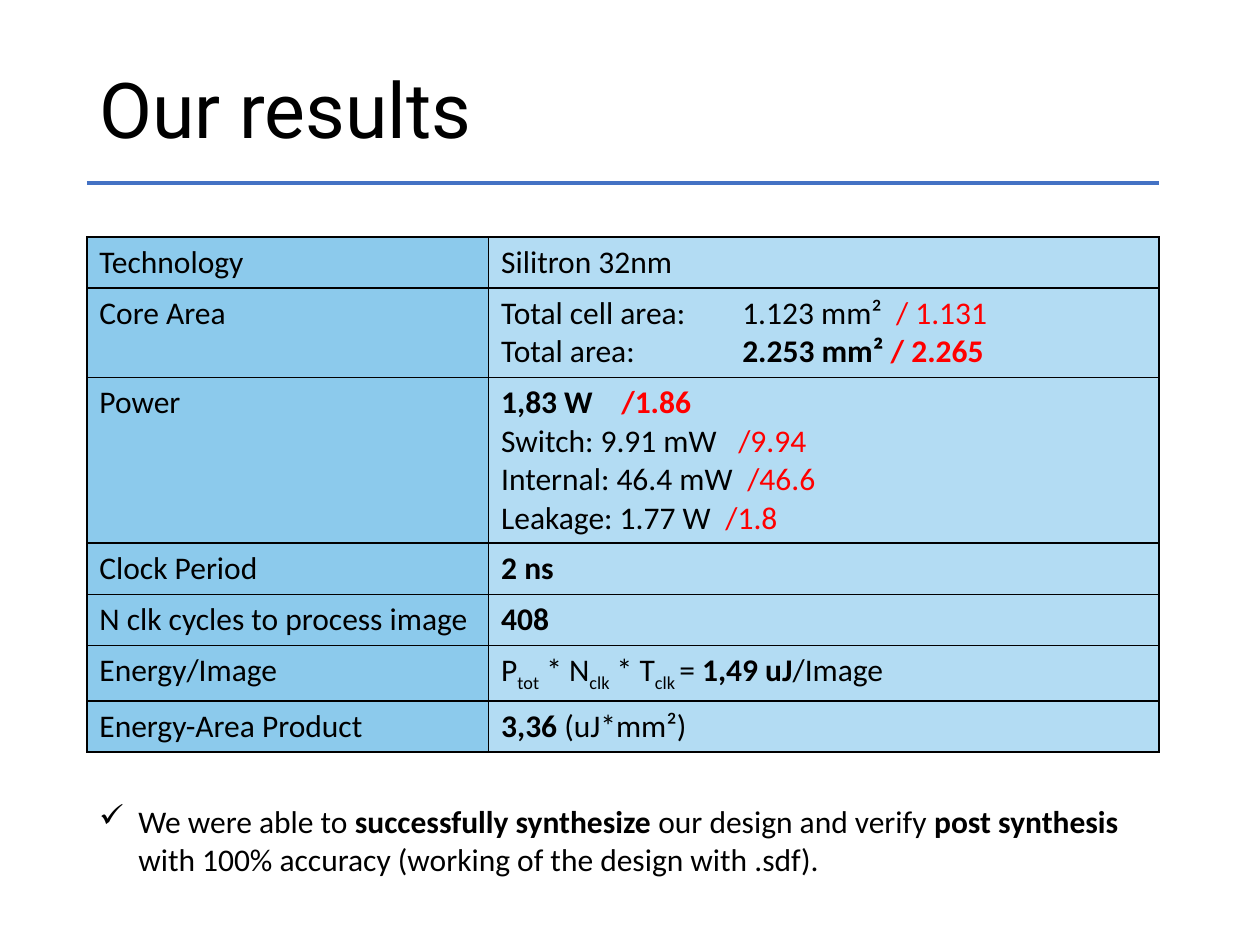
from dataclasses import dataclass

from lxml import etree
from pptx import Presentation
from pptx import util as u
from pptx.dml.color import RGBColor
from pptx.enum import shapes, text
from pptx.oxml import ns


@dataclass(frozen=True)
class Theme:
    """Colours, fonts and type sizes of the slide."""
    ink: str = "000000"
    alert: str = "FF0000"
    rule: str = "4472C4"
    label_fill: str = "8CCAEC"
    value_fill: str = "B3DCF3"
    title_font: str = "Roboto"
    body_font: str = "Calibri"
    title_size: int = 44
    body_size: int = 18


@dataclass(frozen=True)
class Run:
    """A stretch of text with one format."""
    text: str
    bold: bool = False
    color: str = Theme.ink
    baseline: int = 0


@dataclass(frozen=True)
class Line:
    """One paragraph, with tab stops in centimetres."""
    runs: tuple[Run, ...]
    tabs: tuple[float, ...] = ()


@dataclass(frozen=True)
class Result:
    """One row of the results table."""
    label: str
    lines: tuple[Line, ...]


THEME = Theme()
LEFT, WIDTH = 1.75, 21.61
LABEL_WIDTH = 8.1
ROW_HEIGHT, LINE_HEIGHT = 1.03, 0.77


def line(*runs: Run, tabs: tuple[float, ...] = ()) -> Line:
    """Join runs into a line."""
    return Line(runs, tabs)


def compared(value: str, other: str, tab: float, bold: bool = False) -> Line:
    """Make a line with a value and, at a tab stop, its red counterpart."""
    return line(Run(value + "\t", bold), Run(other, bold, THEME.alert), tabs=(tab,))


RESULTS = (
    Result("Technology", (line(Run("Silitron 32nm")),)),
    Result("Core Area", (
        line(Run("Total cell area:\t1.123 mm²\t"), Run("/ 1.131", color=THEME.alert),
             tabs=(4.86, 7.96)),
        line(Run("Total area:\t"), Run("2.253 mm² ", True),
             Run("/ 2.265", True, THEME.alert), tabs=(4.86,)),
    )),
    Result("Power", (
        compared("1,83 W", "/1.86", 2.42, bold=True),
        compared("Switch: 9.91 mW", "/9.94", 4.78),
        compared("Internal: 46.4 mW", "/46.6", 4.96),
        compared("Leakage: 1.77 W", "/1.8", 4.52),
    )),
    Result("Clock Period", (line(Run("2 ns", True)),)),
    Result("N clk cycles to process image", (line(Run("408", True)),)),
    Result("Energy/Image", (line(
        Run("P"), Run("tot", baseline=-25), Run(" * N"), Run("clk", baseline=-25),
        Run(" * T"), Run("clk ", baseline=-25), Run("= "),
        Run("1,49 uJ", True), Run("/Image")),)),
    Result("Energy-Area Product", (line(Run("3,36", True), Run(" (uJ*mm²)")),)),
)

CONCLUSION = line(
    Run("We were able to"), Run(" successfully synthesize ", True),
    Run("our design and verify "), Run("post synthesis ", True),
    Run("with 100% accuracy (working of the design with .sdf)."))


def add_child(parent, tag: str, **attributes):
    """Append a DrawingML element."""
    return etree.SubElement(parent, ns.qn(tag), attributes)


def write(paragraph, content: Line, *, font: str = THEME.body_font,
          size: int = THEME.body_size, spacing: float = 1.0, bullet: str = "") -> None:
    """Fill a paragraph with formatted runs, tab stops and an optional bullet."""
    paragraph.line_spacing = spacing
    properties = paragraph._p.get_or_add_pPr()
    if bullet:
        indent = u.Cm(0.79)
        properties.set("marL", str(indent))
        properties.set("indent", str(-indent))
        add_child(properties, "a:buChar", char=bullet)
    if content.tabs:
        stops = add_child(properties, "a:tabLst")
        for position in content.tabs:
            add_child(stops, "a:tab", pos=str(u.Cm(position)), algn="l")
    for item in content.runs:
        run = paragraph.add_run()
        run.text = item.text
        run.font.name = font
        run.font.size = u.Pt(size)
        run.font.bold = item.bold
        run.font.color.rgb = RGBColor.from_string(item.color)
        if item.baseline:
            run.font._element.set("baseline", str(item.baseline * 1000))


def add_text(slide, content: Line, top: float, width: float, height: float,
             anchor=text.MSO_ANCHOR.TOP, **style) -> None:
    """Add a wrapped text box at the left margin."""
    frame = slide.shapes.add_textbox(
        u.Cm(LEFT), u.Cm(top), u.Cm(width), u.Cm(height)).text_frame
    frame.word_wrap = True
    frame.vertical_anchor = anchor
    write(frame.paragraphs[0], content, **style)


def fill_cell(cell, lines: tuple[Line, ...], color: str) -> None:
    """Write the lines of a cell, then set its borders and fill."""
    frame = cell.text_frame
    for index, content in enumerate(lines):
        write(frame.add_paragraph() if index else frame.paragraphs[0], content)
    properties = cell._tc.get_or_add_tcPr()
    for side in "LRTB":
        border = add_child(properties, f"a:ln{side}", w=str(u.Pt(1)))
        add_child(add_child(border, "a:solidFill"), "a:srgbClr", val=THEME.ink)
    cell.fill.solid()
    cell.fill.fore_color.rgb = RGBColor.from_string(color)


def add_results(slide, top: float) -> None:
    """Add the results table."""
    heights = [ROW_HEIGHT + LINE_HEIGHT * (len(result.lines) - 1) for result in RESULTS]
    table = slide.shapes.add_table(
        len(RESULTS), 2, u.Cm(LEFT), u.Cm(top), u.Cm(WIDTH), u.Cm(sum(heights))).table
    table.first_row = table.horz_banding = False
    for column, width in zip(table.columns, (LABEL_WIDTH, WIDTH - LABEL_WIDTH)):
        column.width = u.Cm(width)
    for row, height, result in zip(table.rows, heights, RESULTS):
        row.height = u.Cm(height)
        fill_cell(row.cells[0], (line(Run(result.label)),), THEME.label_fill)
        fill_cell(row.cells[1], result.lines, THEME.value_fill)


def add_rule(slide, top: float) -> None:
    """Add the line under the title."""
    rule = slide.shapes.add_connector(
        shapes.MSO_CONNECTOR.STRAIGHT,
        u.Cm(LEFT), u.Cm(top), u.Cm(LEFT + WIDTH), u.Cm(top))
    rule.line.color.rgb = RGBColor.from_string(THEME.rule)
    rule.line.width = u.Pt(2.25)
    add_child(rule._element.spPr, "a:effectLst")


def main() -> None:
    """Build and save the presentation."""
    presentation = Presentation()
    presentation.slide_width, presentation.slide_height = u.Cm(25.4), u.Cm(19.05)
    slide = presentation.slides.add_slide(presentation.slide_layouts[6])
    add_text(slide, line(Run("Our results")), 0.46, 21.9, 3.68,
             anchor=text.MSO_ANCHOR.MIDDLE, font=THEME.title_font,
             size=THEME.title_size, spacing=0.9)
    add_results(slide, 4.78)
    add_rule(slide, 3.68)
    add_text(slide, CONCLUSION, 16.05, WIDTH, 1.8, bullet="✓")
    presentation.save("out.pptx")


main()
